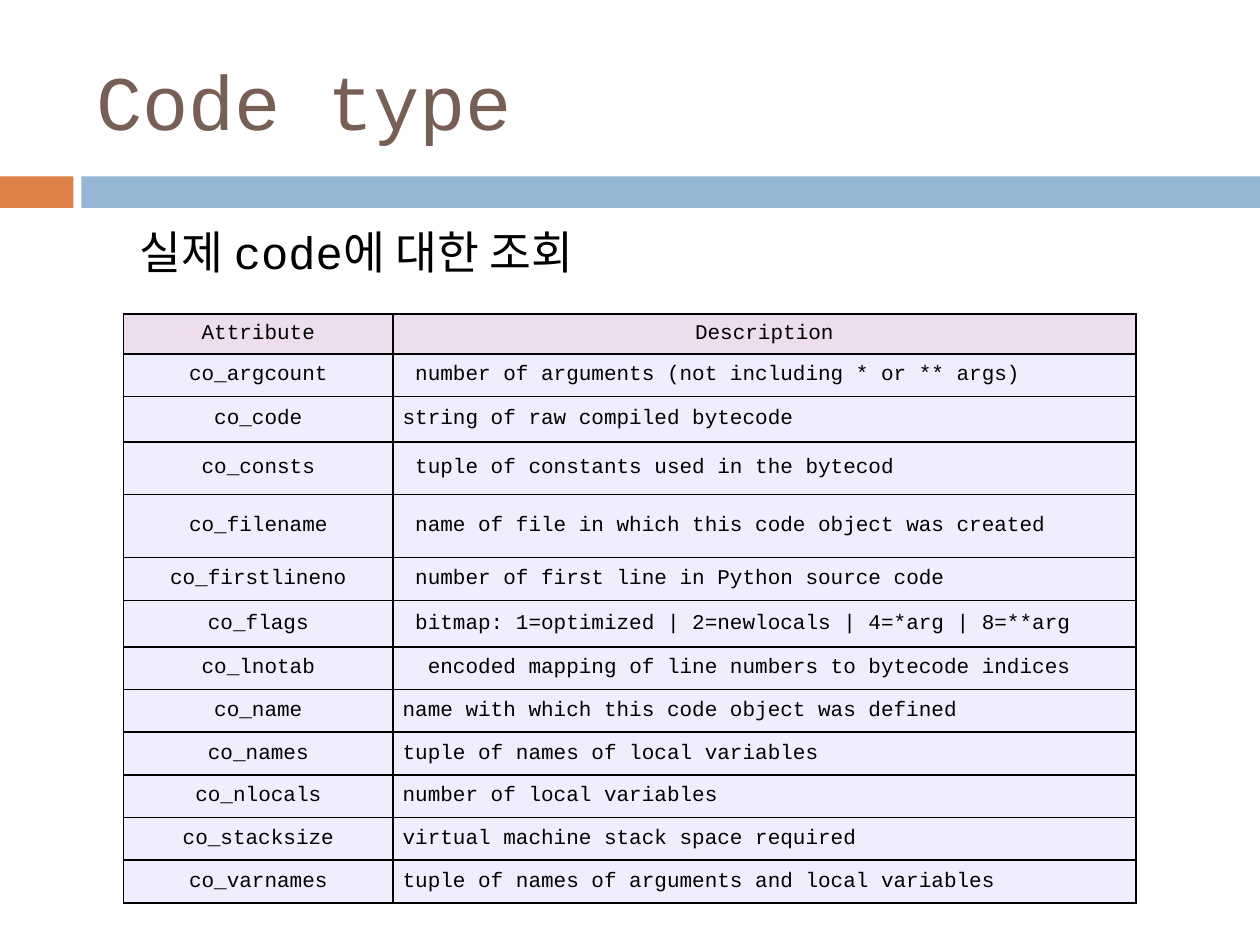
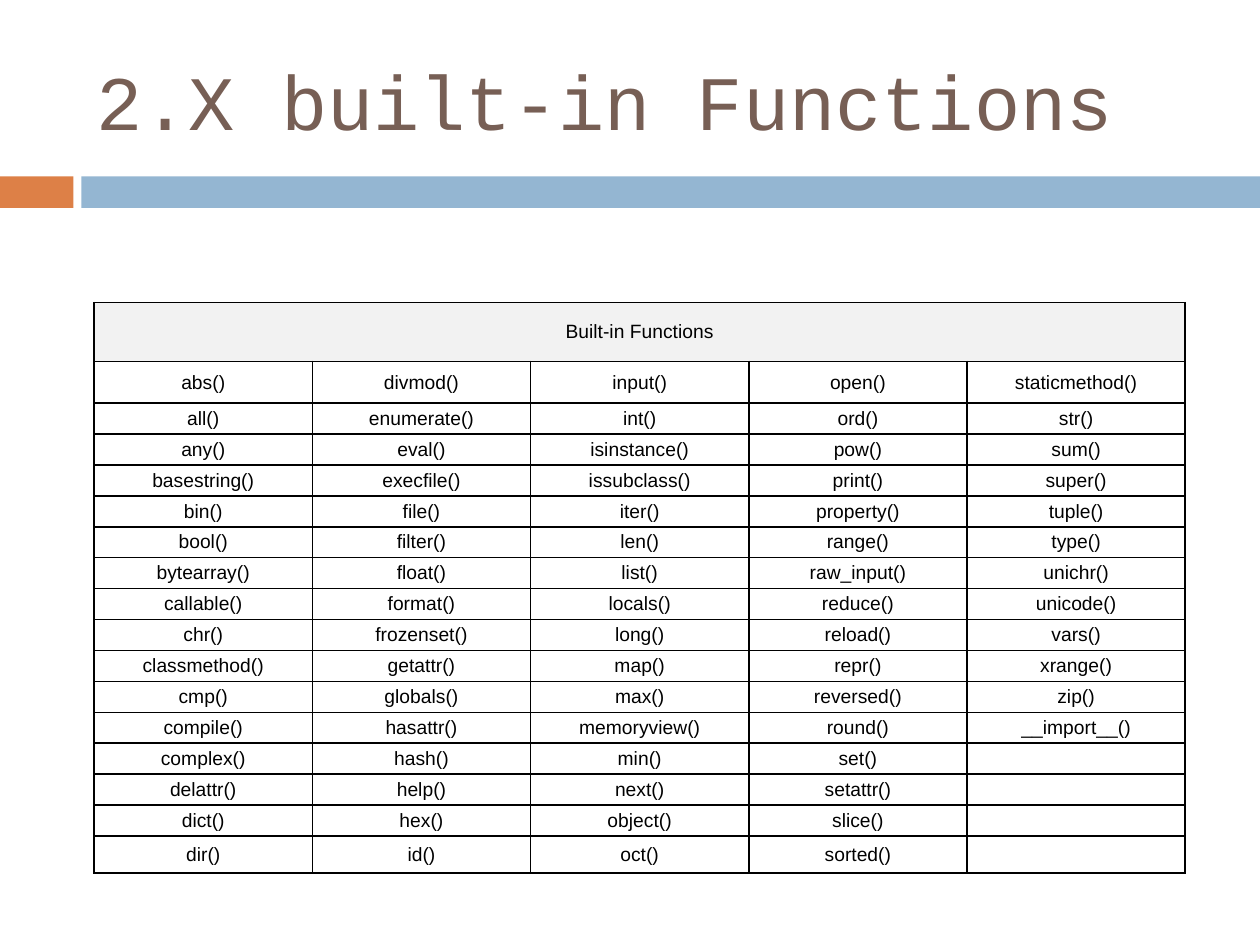
import pptx
import pptx.util
import pptx.dml.color
import pptx.enum.shapes
import pptx.enum.text
import pptx.oxml
import pptx.oxml.ns

Pt = pptx.util.Pt
MID = pptx.enum.text.MSO_ANCHOR.MIDDLE
ALIGN = pptx.enum.text.PP_ALIGN
RECT = pptx.enum.shapes.MSO_SHAPE.RECTANGLE
MONO, SANS = "Courier New", "Arial"
BLACK, BROWN = "000000", "775F55"
ORANGE, BLUE = "DD8047", "94B6D2"
PINK, LILAC, GREY = "EEDDEE", "EEEEFF", "F2F2F2"
EDGE = (
    '<a:{} %s w="12700"><a:solidFill><a:srgbClr val="{}"/></a:solidFill></a:{}>'
    % pptx.oxml.ns.nsdecls("a")
)


def hue(code):
    return pptx.dml.color.RGBColor.from_string(code)


def ink(para, text, face, size, code):
    para.text = text
    for run in para.runs:
        run.font.name = face
        run.font.size = Pt(size)
        run.font.color.rgb = hue(code)
    if not text:
        para._p.get_or_add_endParaRPr().set("sz", str(size * 100))


fields = [
    ("Attribute", "Description", 0),
    ("co_argcount", "number of arguments (not including * or ** args)", 1),
    ("co_code", "string of raw compiled bytecode", 0),
    ("co_consts", "tuple of constants used in the bytecod", 1),
    ("co_filename", "name of file in which this code object was created", 1),
    ("co_firstlineno", "number of first line in Python source code", 1),
    ("co_flags", "bitmap: 1=optimized\u00a0|\u00a02=newlocals\u00a0|\u00a04=*arg\u00a0|\u00a08=**arg", 1),
    ("co_lnotab", "encoded mapping of line numbers to bytecode indices", 2),
    ("co_name", "name with which this code object was defined", 0),
    ("co_names", "tuple of names of local variables", 0),
    ("co_nlocals", "number of local variables", 0),
    ("co_stacksize", "virtual machine stack space required", 0),
    ("co_varnames", "tuple of names of arguments and local variables", 0),
]
calls = """
abs divmod input open staticmethod
all enumerate int ord str
any eval isinstance pow sum
basestring execfile issubclass print super
bin file iter property tuple
bool filter len range type
bytearray float list raw_input unichr
callable format locals reduce unicode
chr frozenset long reload vars
classmethod getattr map repr xrange
cmp globals max reversed zip
compile hasattr memoryview round __import__
complex hash min set
delattr help next setattr
dict hex object slice
dir id oct sorted
"""
names = [["Built-in Functions"]]
for line in calls.strip().splitlines():
    names.append([name + "()" for name in line.split()])

deck = pptx.Presentation()
deck.slide_width, deck.slide_height = Pt(720), Pt(540)

pages = [
    ("Code type", 70.7, 179.3, [153.8, 424.6],
     [23, 24.4, 26, 30, 36, 24.4, 26.6] + [24.4] * 6,
     [row[:2] for row in fields], MONO, 12, PINK, LILAC),
    ("2.X built-in Functions", 53.8, 172.9, [124.7] * 5,
     [33.6, 23.9] + [17.66] * 14 + [21.2],
     names, SANS, 11, GREY, None),
]
grids = []
for title, left, top, cols, rows, data, face, size, head, body in pages:
    slide = deck.slides.add_slide(deck.slide_layouts[6])
    for x, wide, code in [(0, 42, ORANGE), (46.5, 673.5, BLUE)]:
        band = slide.shapes.add_shape(RECT, Pt(x), Pt(100.8), Pt(wide), Pt(18))
        band.shadow.inherit = False
        band.fill.solid()
        band.fill.fore_color.rgb = hue(code)
        band.line.fill.background()
    frame = slide.shapes.add_textbox(Pt(48), Pt(18), Pt(642), Pt(78)).text_frame
    frame.word_wrap = True
    frame.vertical_anchor = MID
    ink(frame.paragraphs[0], title, MONO, 44, BROWN)

    grid = slide.shapes.add_table(
        len(rows), len(cols), Pt(left), Pt(top), Pt(sum(cols)), Pt(sum(rows))
    ).table
    grid.first_row = grid.horz_banding = False
    for col, wide in zip(grid.columns, cols):
        col.width = Pt(wide)
    for r, high in enumerate(rows):
        grid.rows[r].height = Pt(high)
        for c in range(len(cols)):
            cell = grid.cell(r, c)
            cell.vertical_anchor = MID
            cell.margin_left = cell.margin_right = Pt(2)
            cell.margin_top = cell.margin_bottom = Pt(0.7)
            para = cell.text_frame.paragraphs[0]
            para.alignment = ALIGN.CENTER
            ink(para, data[r][c] if c < len(data[r]) else "", face, size, BLACK)
            code = body if r else head
            if code:
                cell.fill.solid()
                cell.fill.fore_color.rgb = hue(code)
            else:
                cell.fill.background()
            prop = cell._tc.get_or_add_tcPr()
            for i, side in enumerate(["lnL", "lnR", "lnT", "lnB"]):
                prop.insert(i, pptx.oxml.parse_xml(EDGE.format(side, BLACK, side)))
    grids.append(grid)

for r, row in enumerate(fields[1:], 1):
    cell = grids[0].cell(r, 1)
    cell.margin_left = Pt(5.6 + 7.2 * row[2])
    cell.margin_right = Pt(0.7)
    cell.text_frame.paragraphs[0].alignment = ALIGN.LEFT
grids[1].cell(0, 0).merge(grids[1].cell(0, 4))

note = deck.slides[0].shapes.add_textbox(Pt(36.7), Pt(124.6), Pt(648), Pt(50))
frame = note.text_frame
frame.word_wrap = True
frame.margin_left = Pt(43.2)
para = frame.paragraphs[0]
para.space_before = Pt(5.5)
ink(para, "실제 code에 대한 조회", MONO, 26, BLACK)

deck.save("out.pptx")
